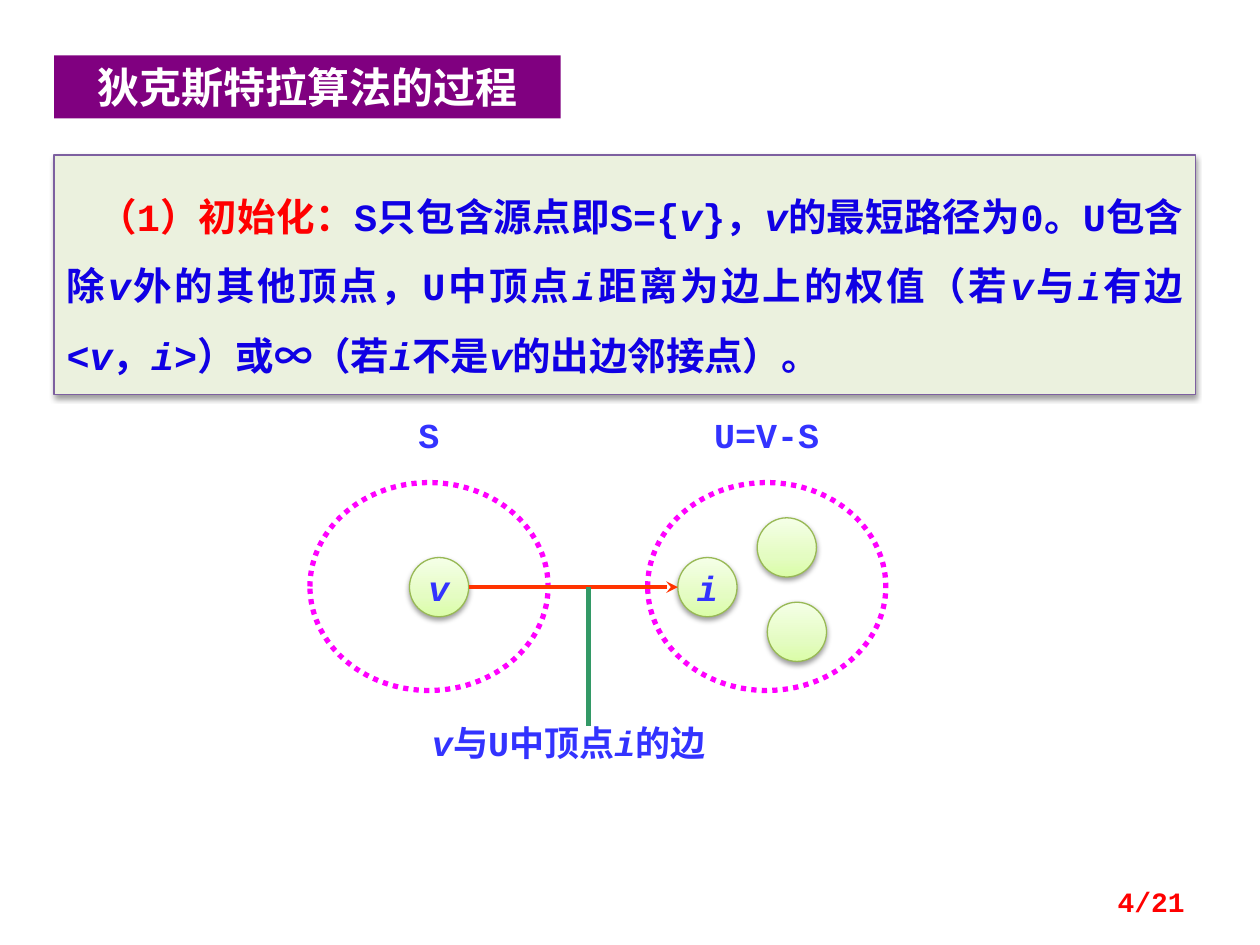
from copy import deepcopy

from lxml import etree
from pptx import Presentation
from pptx.dml.color import RGBColor
from pptx.enum import dml, shapes, text
from pptx.oxml.ns import qn
from pptx.util import Inches, Pt

WHITE = RGBColor(0xFF, 0xFF, 0xFF)
RED = RGBColor(0xFF, 0x00, 0x00)
PURPLE = RGBColor(0x80, 0x00, 0x80)
PALE_GREEN = RGBColor(0xEB, 0xF1, 0xDE)
PANEL_EDGE = RGBColor(0x7D, 0x60, 0xA0)
BODY_BLUE = RGBColor(0x10, 0x00, 0xE4)
LABEL_BLUE = RGBColor(0x33, 0x33, 0xFF)
MAGENTA = RGBColor(0xFF, 0x00, 0xFF)
NODE_EDGE = RGBColor(0x98, 0xB9, 0x55)
ORANGE = RGBColor(0xFF, 0x33, 0x00)
GREEN = RGBColor(0x33, 0x99, 0x66)
NODE_STOPS = [(0, RGBColor(0xDA, 0xFD, 0xA7)),
              (0.35, RGBColor(0xE4, 0xFC, 0xC2)),
              (1, RGBColor(0xF5, 0xFF, 0xE7))]

LATIN, CJK = "Courier New", "Noto Sans CJK SC"
NODE = 0.47
EDGE_Y = 4.66


def add_runs(p, marked, size, color, font=LATIN):
    """Add bold runs; text between asterisks is italic."""
    for n, part in enumerate(marked.split("*")):
        if not part:
            continue
        r = p.add_run()
        r.text = part
        r.font.name, r.font.size, r.font.bold = font, Pt(size), True
        r.font.italic = n % 2 == 1
        r.font.color.rgb = color
        etree.SubElement(r._r.get_or_add_rPr(), qn("a:ea"), typeface=CJK)


def set_insets(tf, x, y):
    tf.margin_left = tf.margin_right = Inches(x)
    tf.margin_top = tf.margin_bottom = Inches(y)


def add_box(s, kind, x, y, w, h, fill=None, line=None, width=0.75):
    sp = s.shapes.add_shape(kind, Inches(x), Inches(y), Inches(w), Inches(h))
    sp.shadow.inherit = False
    if fill is None:
        sp.fill.background()
    else:
        sp.fill.solid()
        sp.fill.fore_color.rgb = fill
    if line is None:
        sp.line.fill.background()
    else:
        sp.line.color.rgb = line
        sp.line.width = Pt(width)
    return sp


def add_shadow(sp):
    effects = sp._element.spPr.find(qn("a:effectLst"))
    shadow = etree.SubElement(effects, qn("a:outerShdw"), blurRad=str(Pt(3.1)),
                              dist=str(Pt(1.6)), dir="5400000", rotWithShape="0")
    color = etree.SubElement(shadow, qn("a:srgbClr"), val="000000")
    etree.SubElement(color, qn("a:alpha"), val="38000")


def add_label(s, x, y, w, h, marked, size=20, color=LABEL_BLUE,
              align=text.PP_ALIGN.LEFT, insets=(0.1, 0.05)):
    tf = s.shapes.add_textbox(Inches(x), Inches(y), Inches(w), Inches(h)).text_frame
    tf.word_wrap = True
    set_insets(tf, *insets)
    p = tf.paragraphs[0]
    p.alignment = align
    add_runs(p, marked, size, color)
    return tf


def add_vertex_set(s, x, name, name_w):
    """Dotted ellipse with its name centred above it."""
    w = 1.89
    sp = add_box(s, shapes.MSO_SHAPE.OVAL, x, 3.83, w, 1.65, line=MAGENTA, width=3)
    sp.line.dash_style = dml.MSO_LINE.ROUND_DOT
    add_label(s, x + (w - name_w) / 2, 3.28, name_w, 0.34, name,
              align=text.PP_ALIGN.CENTER, insets=(0, 0))


def add_node(s, x, y, name=""):
    sp = add_box(s, shapes.MSO_SHAPE.OVAL, x, y, NODE, NODE, line=NODE_EDGE)
    sp.fill.gradient()
    sp.fill.gradient_angle = 90
    stops = sp._element.spPr.find(qn("a:gradFill")).find(qn("a:gsLst"))
    stops.append(deepcopy(stops[0]))
    for stop, (position, color) in zip(sp.fill.gradient_stops, NODE_STOPS):
        stop.position = position
        stop.color.rgb = color
    add_shadow(sp)
    if name:
        tf = sp.text_frame
        tf.word_wrap = False
        tf.vertical_anchor = text.MSO_ANCHOR.MIDDLE
        tf.paragraphs[0].alignment = text.PP_ALIGN.CENTER
        add_runs(tf.paragraphs[0], f"*{name}*", 20, LABEL_BLUE)


def add_line(s, x1, y1, x2, y2, color, width, arrow=False):
    c = s.shapes.add_connector(shapes.MSO_CONNECTOR.STRAIGHT, Inches(x1), Inches(y1),
                               Inches(x2), Inches(y2))
    c.line.color.rgb = color
    c.line.width = Pt(width)
    if arrow:
        etree.SubElement(c.line._get_or_add_ln(), qn("a:tailEnd"), type="stealth")
    etree.SubElement(c._element.spPr, qn("a:effectLst"))


def add_title(s):
    sp = add_box(s, shapes.MSO_SHAPE.RECTANGLE, 0.43, 0.44, 4.02, 0.5, fill=PURPLE)
    p = sp.text_frame.paragraphs[0]
    p.alignment = text.PP_ALIGN.CENTER
    add_runs(p, "狄克斯特拉算法的过程", 24, WHITE, CJK)


def add_step_panel(s):
    sp = add_box(s, shapes.MSO_SHAPE.RECTANGLE, 0.43, 1.23, 9.06, 1.9,
                 fill=PALE_GREEN, line=PANEL_EDGE)
    add_shadow(sp)
    tf = sp.text_frame
    tf.word_wrap = True
    tf.vertical_anchor = text.MSO_ANCHOR.TOP
    set_insets(tf, 0.1, 0.12)
    p = tf.paragraphs[0]
    p.alignment = text.PP_ALIGN.JUSTIFY
    p.line_spacing = 1.5
    p._p.get_or_add_pPr().set("indent", str(Inches(0.25)))
    add_runs(p, "（1）初始化：", 22, RED)
    add_runs(p, "S只包含源点即S={*v*}，*v*的最短路径为0。U包含除*v*外的其他顶点，"
                "U中顶点*i*距离为边上的权值（若*v*与*i*有边<*v*，*i*>）或∞"
                "（若*i*不是*v*的出边邻接点）。", 22, BODY_BLUE)


def add_diagram(s):
    v_x, i_x, node_y = 3.25, 5.38, EDGE_Y - NODE / 2
    add_vertex_set(s, 2.46, "S", 0.63)
    add_vertex_set(s, 5.14, "U=V-S", 1.1)
    add_node(s, v_x, node_y, "v")
    add_node(s, i_x, node_y, "i")
    add_node(s, 6.09, 4.78)
    add_node(s, 6.01, 4.11)
    add_label(s, 3.33, 5.68, 2.99, 0.43, "*v*与U中顶点*i*的边")
    add_line(s, v_x + NODE, EDGE_Y, i_x, EDGE_Y, ORANGE, 2.25, arrow=True)
    add_line(s, 4.67, EDGE_Y, 4.67, 5.76, GREEN, 3)


def main():
    prs = Presentation()
    prs.slide_width, prs.slide_height = Inches(10), Inches(7.5)
    s = prs.slides.add_slide(prs.slide_layouts[6])
    add_step_panel(s)
    add_title(s)
    add_diagram(s)
    tf = add_label(s, 7.17, 6.95, 2.33, 0.4, "4/21", 16, RED, text.PP_ALIGN.RIGHT)
    tf.vertical_anchor = text.MSO_ANCHOR.MIDDLE
    prs.save("out.pptx")


if __name__ == "__main__":
    main()
